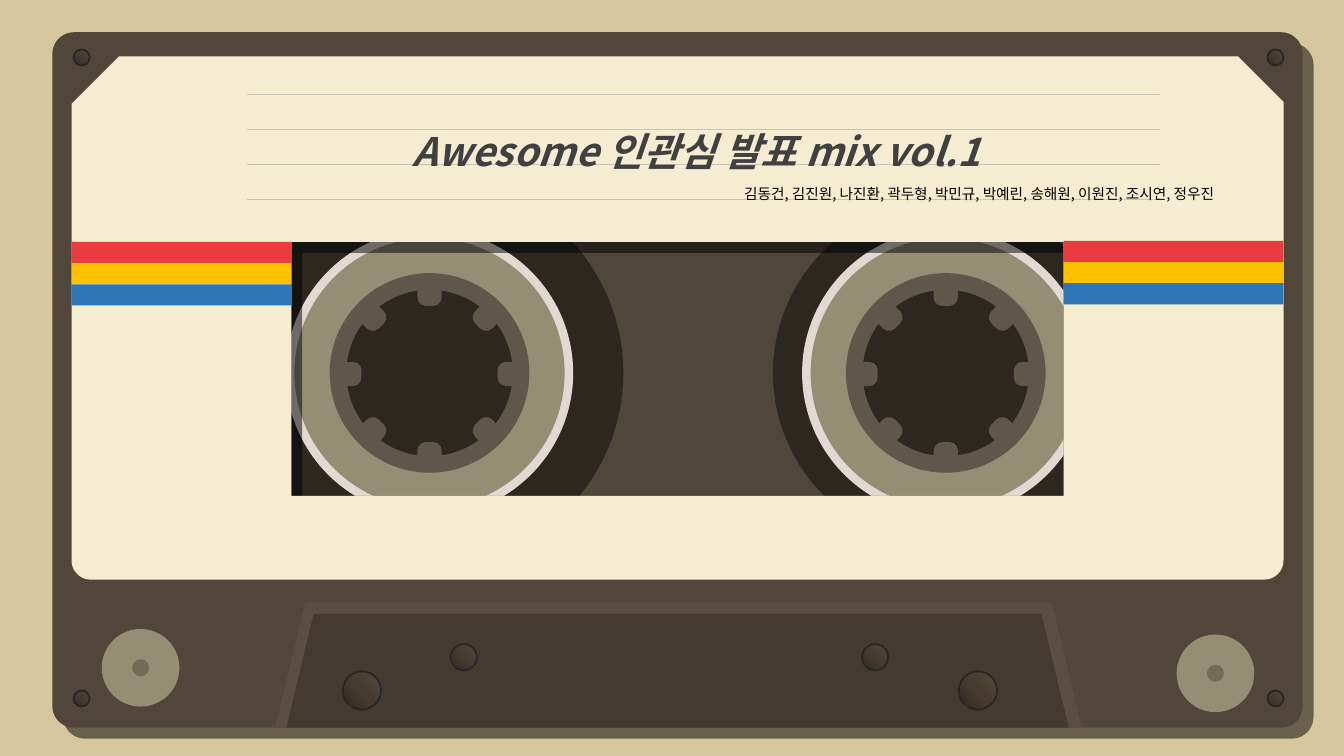
from math import cos, pi, radians, sin

from lxml.etree import SubElement
from pptx import Presentation
from pptx.dml.color import RGBColor
from pptx.enum.shapes import MSO_CONNECTOR as CONN, MSO_SHAPE as SHP
from pptx.enum.text import MSO_ANCHOR, MSO_AUTO_SIZE, PP_ALIGN
from pptx.oxml import parse_xml
from pptx.oxml.ns import nsdecls, qn
from pptx.util import Inches, Pt

FONT = "Noto Sans CJK KR"
TITLE = "Awesome 인관심 발표 mix vol.1"
NAMES = ["김동건", "김진원", "나진환", "곽두형", "박민규",
         "박예린", "송해원", "이원진", "조시연", "정우진"]
W, H = 13.33, 7.5
DARK, GREY, OLIVE = "2C281F", "5F574A", "948E75"
STRIPES = ["EA3C40", "FFC000", "2E75B6"]
SCREW_STOPS = [(0, "302A21"), (50, "453C2F"), (100, "524738")]

WINDOW = (2.89, 2.4, 10.55, 4.92)
BODY = (0.52, 0.32, 12.92, 7.22)
LABEL = (0.71, 0.56, 12.73, 5.75)
REELS = [(9.38, 20), (4.26, 50)]
REEL_Y = 3.7
DISCS = [(1.425, "E2D9D3"), (1.34, OLIVE), (0.99, GREY), (0.825, DARK)]
TEETH, TOOTH_R = 8, 0.815
SCREWS = [(x, y, 0.08) for x in (0.81, 12.65) for y in (0.57, 6.93)]
SCREWS += [(3.59, 6.85, 0.19), (4.6, 6.52, 0.13),
           (9.7, 6.85, 0.19), (8.68, 6.52, 0.13)]
SPOOLS = [(1.395, 6.625), (12.055, 6.68)]
PANELS = [(2.73, 5.98, 8, 1.24, "5A4E40"), (2.84, 6.09, 7.76, 1.13, "443B30")]
STRIPE_STARTS = [(0.71, 2.4), (10.55, 2.39)]
STRIPE_W, STRIPE_H = 2.18, 0.21
RULES = dict(left=2.45, right=11.51, top=0.93, gap=0.348, count=4)

prs = Presentation()
prs.slide_width, prs.slide_height = Inches(W), Inches(H)
s = prs.slides.add_slide(prs.slide_layouts[5])


def rgb(h):
    return RGBColor.from_string(h)


def paint(sp, color):
    sp.shadow.inherit = False
    sp.fill.solid()
    sp.fill.fore_color.rgb = rgb(color)
    sp.line.fill.background()
    return sp


def outline(sp, color, width):
    sp.line.color.rgb = rgb(color)
    sp.line.width = Pt(width)


def shape(kind, x, y, w, h, color):
    sp = s.shapes.add_shape(kind, *map(Inches, (x, y, w, h)))
    return paint(sp, color)


def circle(cx, cy, r, color):
    return shape(SHP.OVAL, cx - r, cy - r, 2 * r, 2 * r, color)


def corner(cx, cy, r, start, steps=12):
    angles = [radians(start + 90 * i / steps) for i in range(steps + 1)]
    return [(cx + r * cos(a), cy + r * sin(a)) for a in angles]


def plate(edge, color):
    l, t, r, b = WINDOW
    hole = [(l, t), (l, b), (r, b), (r, t)]
    loops = [[tuple(map(Inches, p)) for p in loop] for loop in (hole, edge)]
    fb = s.shapes.build_freeform(*loops[0][0])
    fb.add_line_segments(loops[0][1:], close=True)
    fb.move_to(*loops[1][0])
    fb.add_line_segments(loops[1][1:], close=True)
    return paint(fb.convert_to_shape(), color)


def reel(cx, rim):
    outline(circle(cx, REEL_Y, 1.575, DARK), DARK, rim)
    for r, color in DISCS:
        circle(cx, REEL_Y, r, color)
    w, h = 0.28, 0.24
    for i in range(TEETH):
        a = 2 * pi * i / TEETH
        x, y = cx + TOOTH_R * cos(a), REEL_Y + 0.01 + TOOTH_R * sin(a)
        sp = shape(SHP.ROUNDED_RECTANGLE, x - w / 2, y - h / 2, w, h, GREY)
        sp.adjustments[0] = 0.35
        sp.rotation = 360 * i / TEETH


def screw(cx, cy, r):
    sp = circle(cx, cy, r, DARK)
    outline(sp, "262626", 1.25)
    stops = "".join(f'<a:gs pos="{p * 1000}"><a:srgbClr val="{c}"/></a:gs>'
                    for p, c in SCREW_STOPS)
    solid = sp.fill._xPr.find(qn("a:solidFill"))
    solid.getparent().replace(solid, parse_xml(
        f'<a:gradFill {nsdecls("a")}><a:gsLst>{stops}</a:gsLst>'
        '<a:lin ang="18900000" scaled="0"/></a:gradFill>'))


def write(sp, box, text, size, color, align, bold=False):
    sp.left, sp.top, sp.width, sp.height = map(Inches, box)
    tf = sp.text_frame
    tf.text = text
    tf.word_wrap = True
    tf.auto_size = MSO_AUTO_SIZE.NONE
    tf.vertical_anchor = MSO_ANCHOR.MIDDLE
    p = tf.paragraphs[0]
    p.alignment, p.line_spacing = align, 1.0
    f = p.runs[0].font
    f.size, f.bold, f.italic, f.name = Pt(size), bold, bold, FONT
    f.color.rgb = rgb(color)
    SubElement(f._element, qn("a:ea"), typeface=FONT)


s.background.fill.solid()
s.background.fill.fore_color.rgb = rgb("D6C79F")

l, t, r, b = WINDOW
shape(SHP.RECTANGLE, l, t, r - l, b - t, "4F473A")
for cx, rim in REELS:
    reel(cx, rim)

l, t, r, b = BODY
c = 0.215
body = plate(corner(l + c, t + c, c, 180) + corner(r - c, t + c, c, 270)
             + corner(r - c, b - c, c, 0) + corner(l + c, b - c, c, 90), "50473A")
effects = body._element.spPr.find(qn("a:effectLst"))
effects.append(parse_xml(
    f'<a:outerShdw {nsdecls("a")} blurRad="0" dist="{Pt(11)}" dir="2700000" '
    'algn="tl" rotWithShape="0"><a:srgbClr val="000000">'
    '<a:alpha val="51000"/></a:srgbClr></a:outerShdw>'))

l, t, r, b = LABEL
c = 0.19
plate([(l, t + 0.47), (l + 0.47, t), (r - 0.45, t), (r, t + 0.45)]
      + corner(r - c, b - c, c, 0) + corner(l + c, b - c, c, 90), "F5EDD1")

for panel in PANELS:
    shape(SHP.TRAPEZOID, *panel).adjustments[0] = 0.24
for x, y in STRIPE_STARTS:
    for i, color in enumerate(STRIPES):
        shape(SHP.RECTANGLE, x, y + i * STRIPE_H, STRIPE_W, STRIPE_H, color)
for place in SCREWS:
    screw(*place)
for cx, cy in SPOOLS:
    circle(cx, cy, 0.385, OLIVE)
    circle(cx, cy, 0.085, "716C57")

for i in range(RULES["count"]):
    y = Inches(RULES["top"] + i * RULES["gap"])
    rule = s.shapes.add_connector(CONN.STRAIGHT, Inches(RULES["left"]), y,
                                  Inches(RULES["right"]), y)
    outline(rule, "C8C5B8", 0.25)
    SubElement(rule._element.spPr, qn("a:effectLst"))

title = s.shapes.title
title._element.getparent().append(title._element)
write(title, (3.1, 1.21, 7.62, 0.57), TITLE, 28, "404040", PP_ALIGN.CENTER, True)
names = s.shapes.add_textbox(0, 0, 0, 0)
write(names, (1.48, 1.78, 10.66, 0.28), ", ".join(NAMES), 10.5, "000000",
      PP_ALIGN.RIGHT)

prs.save("out.pptx")
